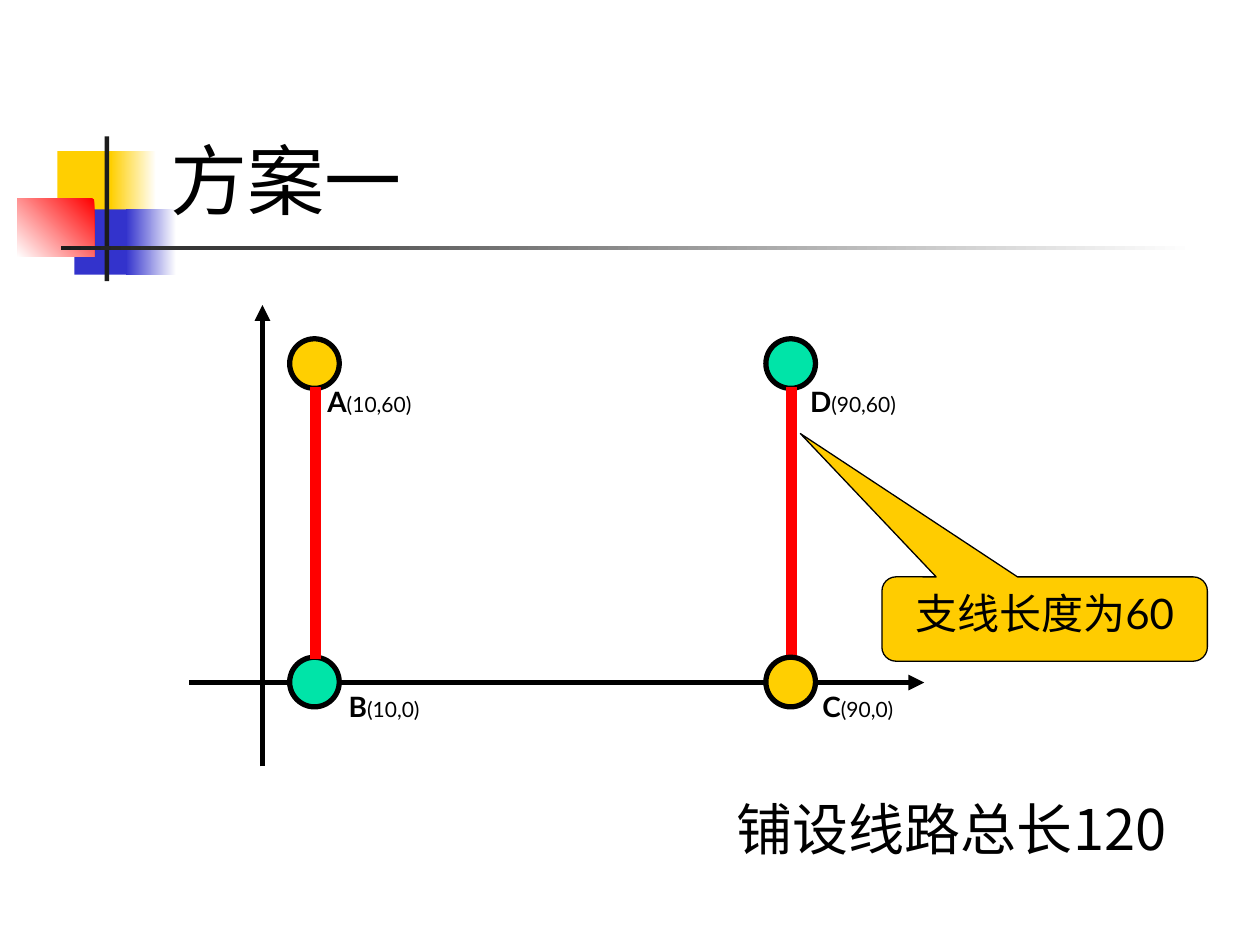
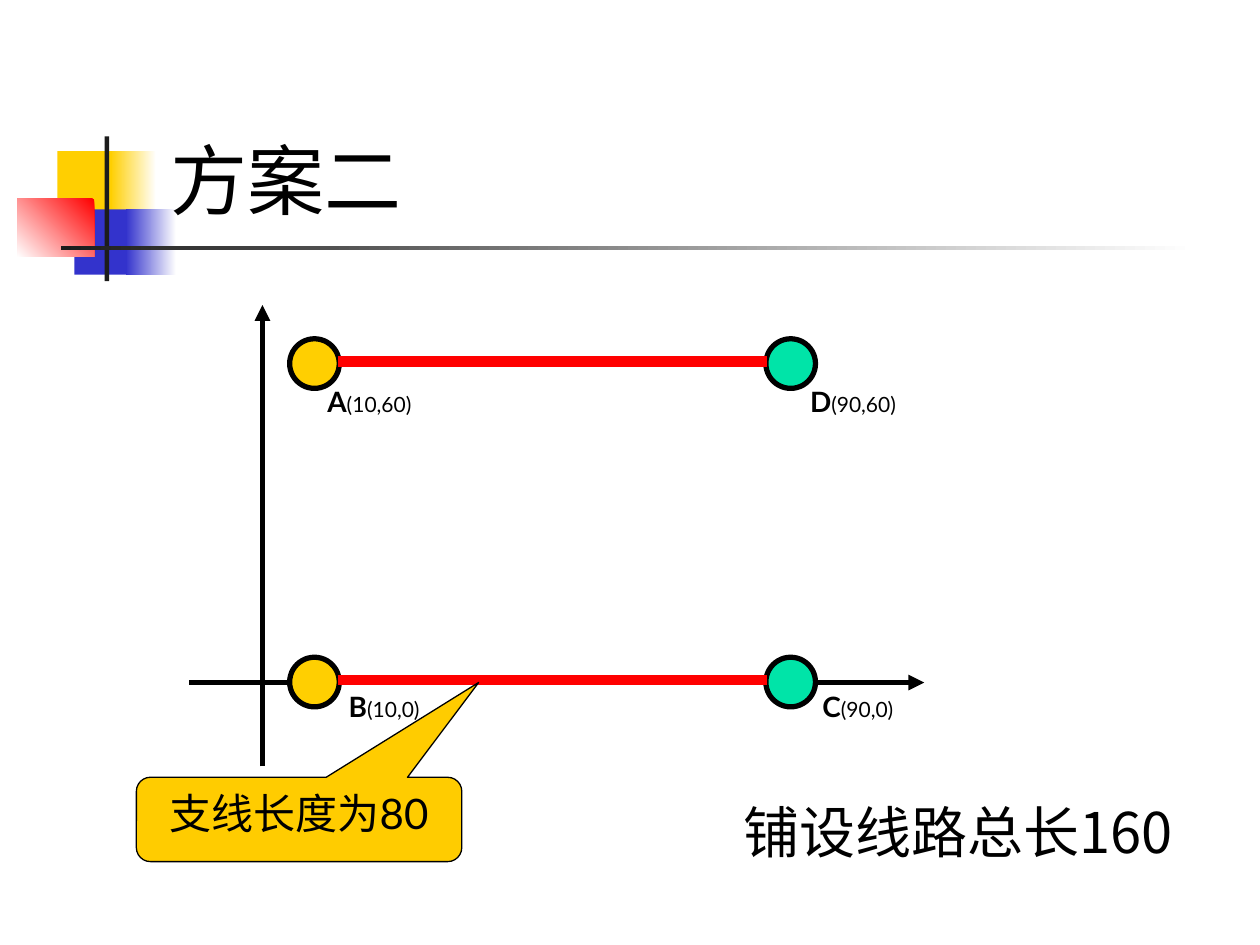
from lxml.etree import SubElement
from pptx import Presentation
from pptx.dml.color import RGBColor
from pptx.enum.shapes import MSO_CONNECTOR, MSO_SHAPE
from pptx.enum.text import MSO_ANCHOR, MSO_AUTO_SIZE, PP_ALIGN
from pptx.oxml.ns import qn
from pptx.util import Cm, Pt

# Colours and fonts
BLACK = RGBColor(0x00, 0x00, 0x00)
WHITE = RGBColor(0xFF, 0xFF, 0xFF)
CHARCOAL = RGBColor(0x1C, 0x1C, 0x1C)
YELLOW = RGBColor(0xFF, 0xCF, 0x01)
AMBER = RGBColor(0xFF, 0xCC, 0x00)
GREEN = RGBColor(0x00, 0xE4, 0xA8)
BLUE = RGBColor(0x33, 0x33, 0xCC)
RED = RGBColor(0xFF, 0x00, 0x00)
LATIN = "Lato"
CJK = "Noto Sans CJK SC"

# Content; all lengths in centimetres
PLANS = [
    {"title": "方案一", "title_width": 8.46,
     "yellow": "AC", "below_branches": "BDA", "above_branches": "C",
     "branches": ["AB", "DC"], "branch_shift": (0.02, 0),
     "total": "铺设线路总长120", "total_box": (14.6, 15.88, 10.16, 1.63),
     "total_wraps": True,
     "note": "支线长度为60", "note_at": (17.78, 11.63), "note_tip": (-0.751, -2.2)},
    {"title": "方案二", "title_width": 9.73,
     "yellow": "AB", "below_branches": "DCAB", "above_branches": "",
     "branches": ["AD", "BC"], "branch_shift": (0, -0.04),
     "total": "铺设线路总长160", "total_box": (14.73, 15.95, 9.6, 1.63),
     "total_wraps": False,
     "note": "支线长度为80", "note_at": (2.75, 15.67), "note_tip": (0.552, -1.625)},
]

# Town: coordinates on the chart, label corner on the slide
TOWNS = {
    "A": ((10, 60), (6.35, 7.62)),
    "B": ((10, 0), (6.78, 13.77)),
    "C": ((90, 0), (16.33, 13.77)),
    "D": ((90, 60), (16.08, 7.62)),
}
AXES = [((5.29, 15.45), (5.29, 6.15)), ((3.81, 13.76), (18.63, 13.76))]

# Title ornament: box, colours (two make a gradient), angle
ORNAMENT = [
    ((1.16, 3.05, 1.22, 1.32), [YELLOW], 0),
    ((2.23, 3.05, 0.92, 1.32), [WHITE, YELLOW], 180),
    ((1.5, 4.22, 1.17, 1.32), [BLUE], 0),
    ((2.54, 4.22, 1.01, 1.32), [WHITE, BLUE], 180),
    ((0.35, 4.01, 1.55, 1.17), [RED, WHITE], 225),
    ((2.11, 2.75, 0.09, 2.92), [CHARCOAL], 0),
    ((1.23, 4.95, 22.86, 0.09), [WHITE, CHARCOAL], 180),
]

# Chart scale
LEFT_TOWNS, BASE, TOP = 6.34, 13.75, 7.33
STEP_X = 0.12
STEP_Y = (BASE - TOP) / 60
DIAMETER = 1.0
BRANCH_TRIM = 0.47

# Formats
FRAME = {"margin_left": Cm(0.25), "margin_right": Cm(0.25),
         "margin_top": Cm(0.13), "margin_bottom": Cm(0.13),
         "vertical_anchor": MSO_ANCHOR.TOP}
GROWING = FRAME | {"word_wrap": True, "auto_size": MSO_AUTO_SIZE.SHAPE_TO_FIT_TEXT}
TITLE = {"name": LATIN, "size": Pt(44)}
TOTAL = {"name": CJK, "size": Pt(32)}
NOTE = {"name": LATIN, "size": Pt(24)}
TOWN_NAME = {"name": LATIN, "size": Pt(16), "bold": True}
TOWN_COORDS = {"name": LATIN, "size": Pt(12), "bold": False}


def apply(target, values):
    """Set each attribute named in a dict of format values."""
    for name, value in values.items():
        setattr(target, name, value)


def write(shape, runs, frame, paragraph):
    """Fill a shape with one paragraph of (text, font format) runs."""
    apply(shape.text_frame, frame)
    line = shape.text_frame.paragraphs[0]
    apply(line, paragraph)
    for words, font in runs:
        run = line.add_run()
        run.text = words
        apply(run.font, font)
        run.font.color.rgb = BLACK
        SubElement(run.font._element, qn("a:ea"), typeface=CJK)


def add_text(slide, box, runs, space_before, frame=GROWING):
    """Add a left-aligned text box."""
    textbox = slide.shapes.add_textbox(*map(Cm, box))
    write(textbox, runs, frame, {"space_before": Pt(space_before), "alignment": PP_ALIGN.LEFT})


def add_figure(slide, preset, box, colours, angle=0, outline=None):
    """Add a preset shape with a flat or two-colour gradient fill."""
    figure = slide.shapes.add_shape(preset, *map(Cm, box))
    figure.shadow.inherit = False
    if len(colours) == 1:
        figure.fill.solid()
        figure.fill.fore_color.rgb = colours[0]
    else:
        figure.fill.gradient()
        figure.fill.gradient_angle = angle
        for position, (stop, colour) in enumerate(zip(figure.fill.gradient_stops, colours)):
            stop.color.rgb = colour
            stop.position = position
    if outline is None:
        figure.line.fill.background()
    else:
        figure.line.color.rgb = BLACK
        figure.line.width = Pt(outline)
    return figure


def add_line(slide, start, end, colour, width, arrow=False):
    """Add a straight line, with an arrowhead at its end on request."""
    line = slide.shapes.add_connector(MSO_CONNECTOR.STRAIGHT, *map(Cm, (*start, *end)))
    line.line.color.rgb = colour
    line.line.width = Pt(width)
    properties = line.element.spPr
    if arrow:
        SubElement(properties.find(qn("a:ln")), qn("a:tailEnd"), type="triangle")
    SubElement(properties, qn("a:effectLst"))


def centre(town):
    """Return the slide position of a town."""
    x, y = TOWNS[town][0]
    return LEFT_TOWNS + (x - 10) * STEP_X, BASE - y * STEP_Y


def add_towns(slide, towns, yellow):
    """Draw the circles of the given towns."""
    for town in towns:
        x, y = centre(town)
        box = (x - DIAMETER / 2, y - DIAMETER / 2, DIAMETER, DIAMETER)
        add_figure(slide, MSO_SHAPE.OVAL, box,
                   [YELLOW if town in yellow else GREEN], outline=3)


def add_branch(slide, pair, shift):
    """Join two towns in red, from rim to rim."""
    (x1, y1), (x2, y2) = map(centre, pair)
    dx, dy = shift
    trim_x = BRANCH_TRIM if x1 != x2 else 0
    trim_y = BRANCH_TRIM if y1 != y2 else 0
    add_line(slide, (x1 + trim_x + dx, y1 + trim_y + dy),
             (x2 - trim_x + dx, y2 - trim_y + dy), RED, 6)


def add_chart_base(slide):
    """Draw the two axes and the town labels."""
    for start, end in AXES:
        add_line(slide, start, end, BLACK, 3, arrow=True)
    for town, ((x, y), corner) in TOWNS.items():
        add_text(slide, (*corner, 3.18, 0.94),
                 [(town, TOWN_NAME), (f"({x},{y})", TOWN_COORDS)], 7.5)


def add_note(slide, plan):
    """Add the callout that gives the branch length."""
    note = add_figure(slide, MSO_SHAPE.ROUNDED_RECTANGULAR_CALLOUT,
                      (*plan["note_at"], 6.56, 1.7), [AMBER], outline=0.74)
    for index, value in enumerate((*plan["note_tip"], 0.167)):
        note.adjustments[index] = value
    write(note, [(plan["note"], NOTE)], FRAME | {"word_wrap": True},
          {"alignment": PP_ALIGN.CENTER})


def build_plan(deck, plan):
    """Build the slide of one cabling plan."""
    slide = deck.slides.add_slide(deck.slide_layouts[6])
    slide.background.fill.solid()
    slide.background.fill.fore_color.rgb = WHITE
    for box, colours, angle in ORNAMENT:
        add_figure(slide, MSO_SHAPE.RECTANGLE, box, colours, angle)
    add_chart_base(slide)
    add_text(slide, (3.18, 2.54, plan["title_width"], 2.13), [(plan["title"], TITLE)], 27.5)
    add_towns(slide, plan["below_branches"], plan["yellow"])
    for pair in plan["branches"]:
        add_branch(slide, pair, plan["branch_shift"])
    add_towns(slide, plan["above_branches"], plan["yellow"])
    add_text(slide, plan["total_box"], [(plan["total"], TOTAL)], 20,
             GROWING | {"word_wrap": plan["total_wraps"]})
    add_note(slide, plan)


deck = Presentation()
deck.slide_width, deck.slide_height = Cm(25.4), Cm(19.05)
for plan in PLANS:
    build_plan(deck, plan)
deck.save("out.pptx")
